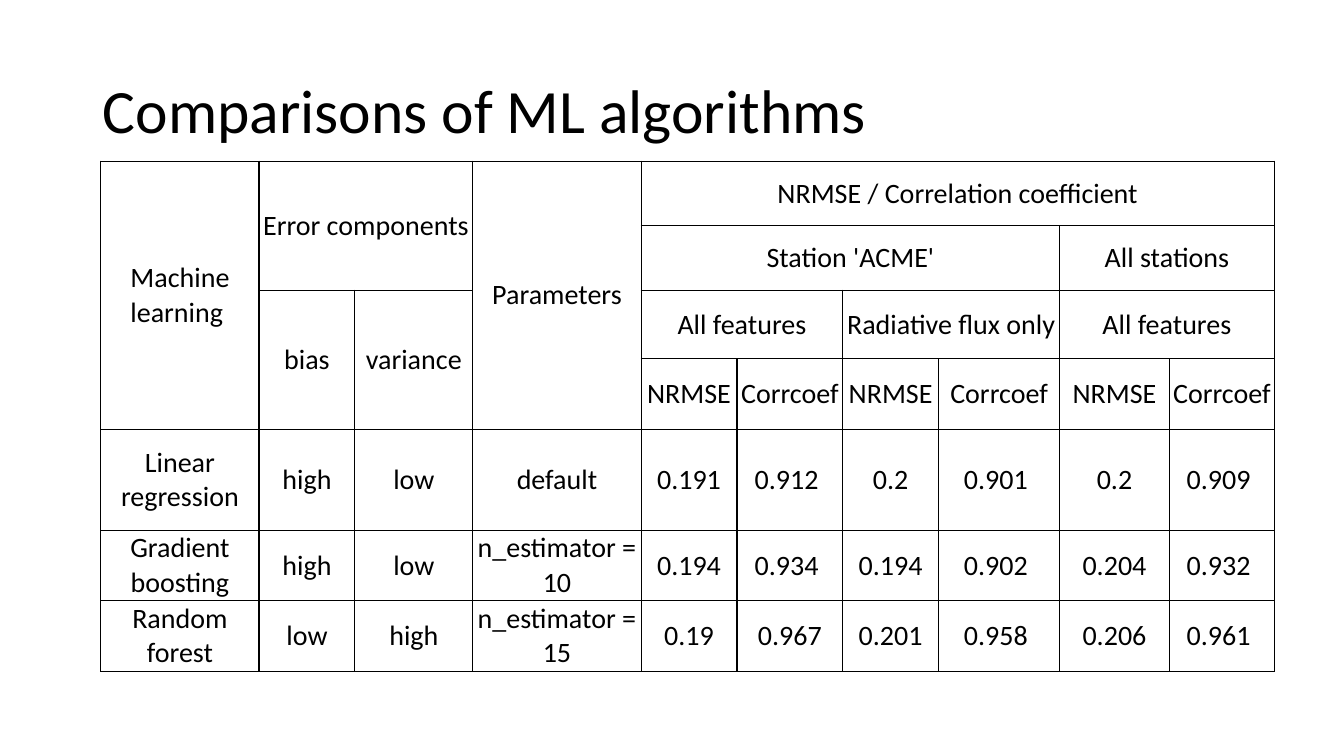
import pptx
import pptx.util
import pptx.dml.color
import pptx.enum.text
import lxml.etree

Inches, Pt = pptx.util.Inches, pptx.util.Pt
ALIGN = pptx.enum.text.PP_ALIGN
MIDDLE = pptx.enum.text.MSO_ANCHOR.MIDDLE
NS = "http://schemas.openxmlformats.org/drawingml/2006/main"
BLACK = "000000"

WIDTHS = [1.57, 0.95, 1.17, 1.67, 0.95, 1.05, 0.95, 1.2, 1.09, 1.04]
HEIGHTS = [0.64, 0.64, 0.68, 0.68, 1, 0.68, 0.68]

# Header cells: row, column, rows spanned, columns spanned, text
HEADS = [
    (0, 0, 4, 1, "Machine learning "),
    (0, 1, 2, 2, "Error components"),
    (0, 3, 4, 1, "Parameters"),
    (0, 4, 1, 6, "NRMSE / Correlation coefficient"),
    (1, 4, 1, 4, "Station 'ACME'"),
    (1, 8, 1, 2, "All stations"),
    (2, 1, 2, 1, "bias"),
    (2, 2, 2, 1, "variance"),
    (2, 4, 1, 2, "All features"),
    (2, 6, 1, 2, "Radiative flux only"),
    (2, 8, 1, 2, "All features"),
]
SCORES = ["NRMSE", "Corrcoef"] * 3
MODELS = [
    ["Linear regression", "high", "low", "default",
     "0.191", "0.912 ", "0.2", "0.901 ", "0.2", "0.909 "],
    ["Gradient boosting", "high", "low", "n_estimator = 10",
     "0.194", "0.934 ", "0.194", "0.902 ", "0.204", "0.932 "],
    ["Random forest", "low", "high", "n_estimator = 15",
     "0.19", "0.967", "0.201", "0.958 ", "0.206", "0.961 "],
]


def color(code):
    """Turn a hex string into a colour."""
    return pptx.dml.color.RGBColor.from_string(code)


def write(frame, text, size, align):
    """Add one formatted run to the first paragraph of a frame."""
    para = frame.paragraphs[0]
    para.alignment = align
    run = para.add_run()
    run.text = text
    run.font.name = "Calibri"
    run.font.size = Pt(size)
    run.font.color.rgb = color(code=BLACK)
    return para


def border(cell):
    """Draw a thin line on all four sides of a cell."""
    props = cell._tc.get_or_add_tcPr()
    for place, side in enumerate("LRTB"):
        line = lxml.etree.Element(f"{{{NS}}}ln{side}", w=str(Pt(1)))
        fill = lxml.etree.SubElement(line, f"{{{NS}}}solidFill")
        lxml.etree.SubElement(fill, f"{{{NS}}}srgbClr", val=BLACK)
        props.insert(place, line)


def style(cell):
    """Clear the fill of a cell, tighten its margins and frame it."""
    cell.fill.background()
    cell.vertical_anchor = MIDDLE
    cell.margin_left = cell.margin_right = Inches(0.01)
    cell.margin_top = cell.margin_bottom = Inches(0.01)
    border(cell)


def heading(slide, left, top, width, height):
    """Place the slide title in its box."""
    title = slide.shapes.title
    title.left, title.top = Inches(left), Inches(top)
    title.width, title.height = Inches(width), Inches(height)
    title.text_frame.vertical_anchor = MIDDLE
    para = write(title.text_frame, "Comparisons of ML algorithms", 44, ALIGN.LEFT)
    para.line_spacing = 0.9


def results(slide, left, top):
    """Place the comparison table from its top left corner."""
    frame = slide.shapes.add_table(
        len(HEIGHTS), len(WIDTHS), Inches(left), Inches(top),
        Inches(sum(WIDTHS)), Inches(sum(HEIGHTS)))
    table = frame.table
    table.first_row = table.horz_banding = False
    for column, width in zip(table.columns, WIDTHS):
        column.width = Inches(width)
    for row, height in zip(table.rows, HEIGHTS):
        row.height = Inches(height)
    for cell in table.iter_cells():
        style(cell)

    cells = list(HEADS)
    cells += [(3, 4 + c, 1, 1, text) for c, text in enumerate(SCORES)]
    cells += [(4 + r, c, 1, 1, text)
              for r, model in enumerate(MODELS) for c, text in enumerate(model)]
    for row, col, down, across, text in cells:
        cell = table.cell(row, col)
        if down * across > 1:
            cell.merge(table.cell(row + down - 1, col + across - 1))
        write(cell.text_frame, text, 20, ALIGN.CENTER)


def main():
    """Build the slide and save it."""
    deck = pptx.Presentation()
    deck.slide_width, deck.slide_height = Inches(13.33), Inches(7.5)
    slide = deck.slides.add_slide(deck.slide_layouts[5])
    heading(slide, 0.92, 0.4, 11.5, 1.45)
    results(slide, 1, 1.6)
    deck.save("out.pptx")


main()
